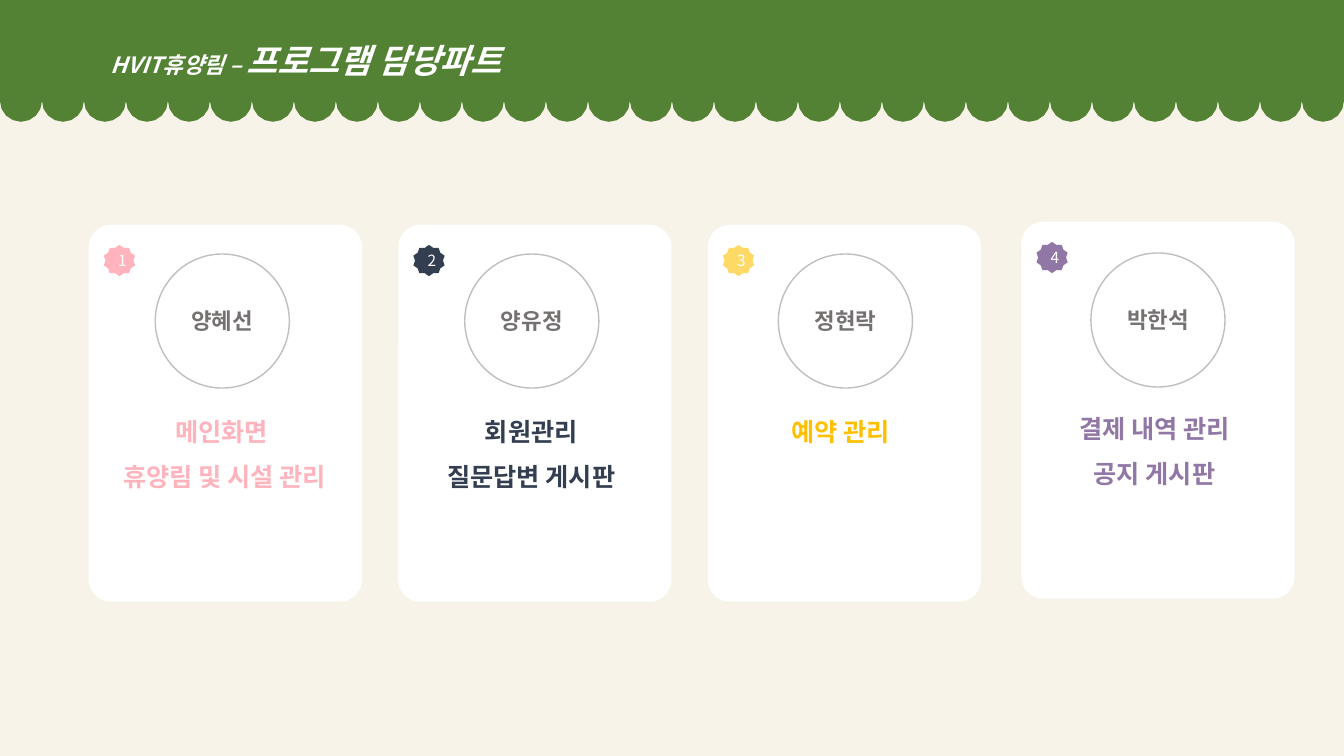
from dataclasses import dataclass
from math import cos, pi, sin

from lxml.etree import SubElement
from pptx import Presentation
from pptx.dml.color import RGBColor
from pptx.enum.shapes import MSO_SHAPE
from pptx.enum.text import MSO_ANCHOR, MSO_AUTO_SIZE, PP_ALIGN
from pptx.oxml.ns import qn
from pptx.shapes.autoshape import Shape
from pptx.slide import Slide
from pptx.text.text import _Run as Run
from pptx.util import Inches, Pt


@dataclass(frozen=True)
class Theme:
    font: str = "Noto Sans CJK KR"
    background: str = "F7F3E8"
    green: str = "548235"
    white: str = "FFFFFF"
    outline: str = "BFBFBF"
    name_grey: str = "767171"
    badge_size: int = 11
    name_size: int = 16
    task_size: int = 18
    title_small: int = 16
    title_large: int = 24


@dataclass(frozen=True)
class Member:
    name: str
    tasks: tuple[str, ...]
    badge_color: str
    task_color: str
    left: float
    top: float
    circle_left: float
    circle_top: float


THEME = Theme()
SLIDE_WIDTH = 13.33
BANNER_HEIGHT = 1.0
SCALLOP_COUNT = 32
ARC_STEPS = 8
UNITS_PER_INCH = 1000

MEMBERS = (
    Member("양혜선", ("메인화면", " 휴양림 및 시설 관리"), "FFB3BD", "FFB3BD", 0.88, 2.23, 1.54, 2.52),
    Member("양유정", ("회원관리", "질문답변 게시판"), "333F50", "333F50", 3.95, 2.23, 4.61, 2.52),
    Member("정현락", ("예약 관리",), "FFD966", "FFC000", 7.02, 2.23, 7.72, 2.52),
    Member("박한석", ("결제 내역 관리", "공지 게시판"), "9177A5", "9177A5", 10.13, 2.2, 10.82, 2.51),
)


def style_run(run: Run, size: int, color: str, bold: bool = True, italic: bool = False) -> None:
    run.font.name = THEME.font
    run.font.size = Pt(size)
    run.font.bold = bold
    run.font.italic = italic
    run.font.color.rgb = RGBColor.from_string(color)
    # Korean glyphs take the East Asian typeface
    SubElement(run.font._element, qn("a:ea")).set("typeface", THEME.font)


def paint(shape: Shape, fill: str, outline: str | None = None) -> None:
    shape.shadow.inherit = False
    shape.fill.solid()
    shape.fill.fore_color.rgb = RGBColor.from_string(fill)
    if outline:
        shape.line.color.rgb = RGBColor.from_string(outline)
        shape.line.width = Pt(1)
    else:
        shape.line.fill.background()


def add_box(slide: Slide, kind: MSO_SHAPE, left: float, top: float, width: float, height: float,
            fill: str, outline: str | None = None) -> Shape:
    shape = slide.shapes.add_shape(kind, Inches(left), Inches(top), Inches(width), Inches(height))
    paint(shape, fill, outline)
    return shape


def set_label(shape: Shape, text: str, size: int, color: str, bold: bool) -> None:
    text_frame = shape.text_frame
    text_frame.text = text
    text_frame.vertical_anchor = MSO_ANCHOR.MIDDLE
    paragraph = text_frame.paragraphs[0]
    paragraph.alignment = PP_ALIGN.CENTER
    style_run(paragraph.runs[0], size, color, bold)


def add_member(slide: Slide, number: int, member: Member) -> None:
    # Card
    card = add_box(slide, MSO_SHAPE.ROUNDED_RECTANGLE, member.left, member.top, 2.71, 3.74, THEME.white)
    card.adjustments[0] = 0.081

    # Numbered badge
    badge = add_box(slide, MSO_SHAPE.STAR_10_POINT, member.left + 0.15, member.top + 0.2,
                    0.31, 0.31, member.badge_color)
    set_label(badge, str(number), THEME.badge_size, THEME.white, bold=False)

    # Name circle
    circle = add_box(slide, MSO_SHAPE.OVAL, member.circle_left, member.circle_top,
                     1.33, 1.33, THEME.white, THEME.outline)
    set_label(circle, member.name, THEME.name_size, THEME.name_grey, bold=True)

    # Tasks
    tasks = slide.shapes.add_textbox(Inches(member.left + 0.04), Inches(member.top + 1.7),
                                     Inches(2.56), Inches(0.5 * len(member.tasks)))
    text_frame = tasks.text_frame
    text_frame.word_wrap = True
    text_frame.auto_size = MSO_AUTO_SIZE.SHAPE_TO_FIT_TEXT
    text_frame.text = "\n".join(member.tasks)
    for paragraph in text_frame.paragraphs:
        paragraph.alignment = PP_ALIGN.CENTER
        paragraph.line_spacing = 1.5
        style_run(paragraph.runs[0], THEME.task_size, member.task_color)


def add_scallops(slide: Slide) -> None:
    radius = SLIDE_WIDTH / SCALLOP_COUNT / 2
    top = BANNER_HEIGHT - radius
    # Half circles from left to right, closed by a straight top edge
    edge = [(0, BANNER_HEIGHT)]
    for index in range(SCALLOP_COUNT):
        center = radius * (2 * index + 1)
        for step in range(1, ARC_STEPS + 1):
            angle = pi * step / ARC_STEPS
            edge.append((center - radius * cos(angle), BANNER_HEIGHT + radius * sin(angle)))
    edge.append((SLIDE_WIDTH, top))
    points = [(round(x * UNITS_PER_INCH), round(y * UNITS_PER_INCH)) for x, y in edge]
    builder = slide.shapes.build_freeform(0, round(top * UNITS_PER_INCH), scale=Inches(1) / UNITS_PER_INCH)
    builder.add_line_segments(points, close=True)
    paint(builder.convert_to_shape(), THEME.green)


def add_banner(slide: Slide) -> None:
    banner = add_box(slide, MSO_SHAPE.RECTANGLE, 0, 0, SLIDE_WIDTH, BANNER_HEIGHT, THEME.green)
    banner.text_frame.vertical_anchor = MSO_ANCHOR.MIDDLE
    paragraph = banner.text_frame.paragraphs[0]
    paragraph.alignment = PP_ALIGN.LEFT
    paragraph.level = 2
    paragraph.line_spacing = 1.5
    paragraph._p.get_or_add_pPr().set("marL", str(Inches(1)))
    for text, size in (("HVIT휴양림 – ", THEME.title_small), ("프로그램 담당파트", THEME.title_large)):
        run = paragraph.add_run()
        run.text = text
        style_run(run, size, THEME.white, italic=True)


def main() -> None:
    presentation = Presentation()
    presentation.slide_width = Inches(SLIDE_WIDTH)
    presentation.slide_height = Inches(7.5)
    slide = presentation.slides.add_slide(presentation.slide_layouts[6])
    slide.background.fill.solid()
    slide.background.fill.fore_color.rgb = RGBColor.from_string(THEME.background)

    for number, member in enumerate(MEMBERS, start=1):
        add_member(slide, number, member)
    add_scallops(slide)
    add_banner(slide)
    presentation.save("out.pptx")


if __name__ == "__main__":
    main()
